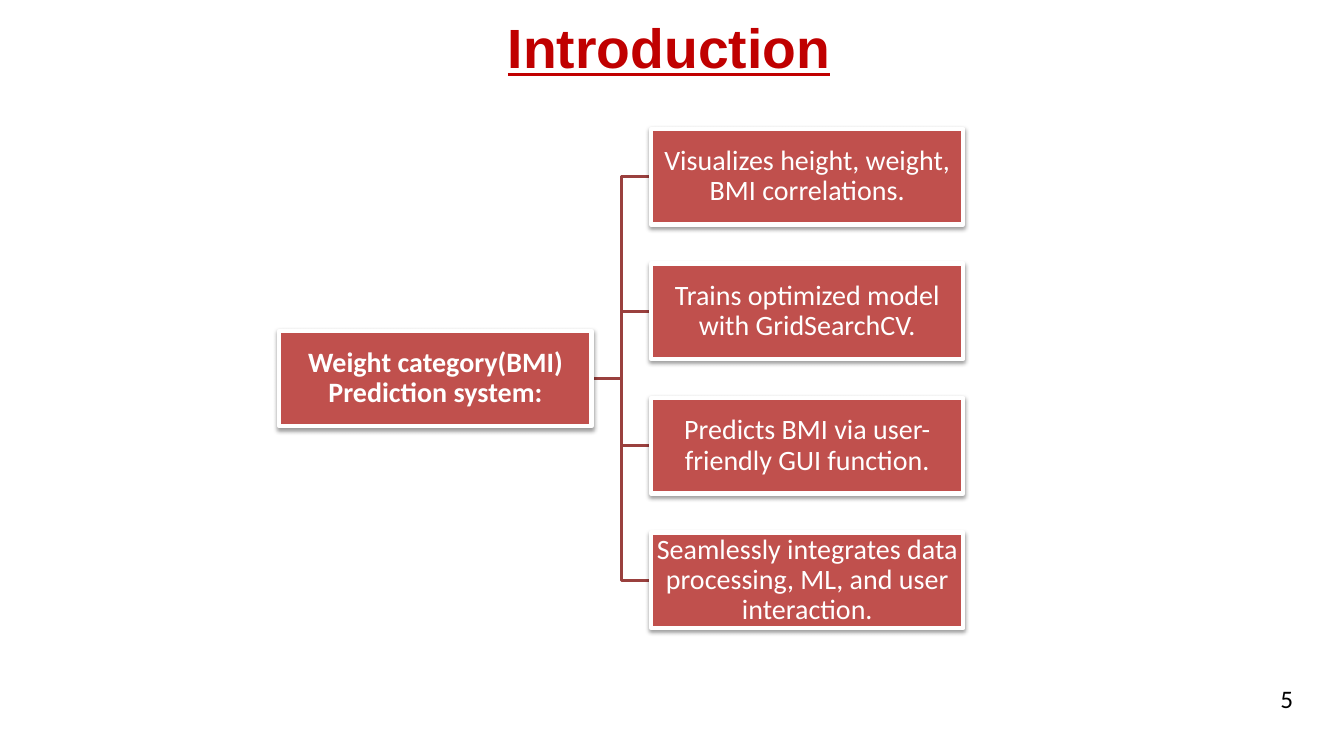
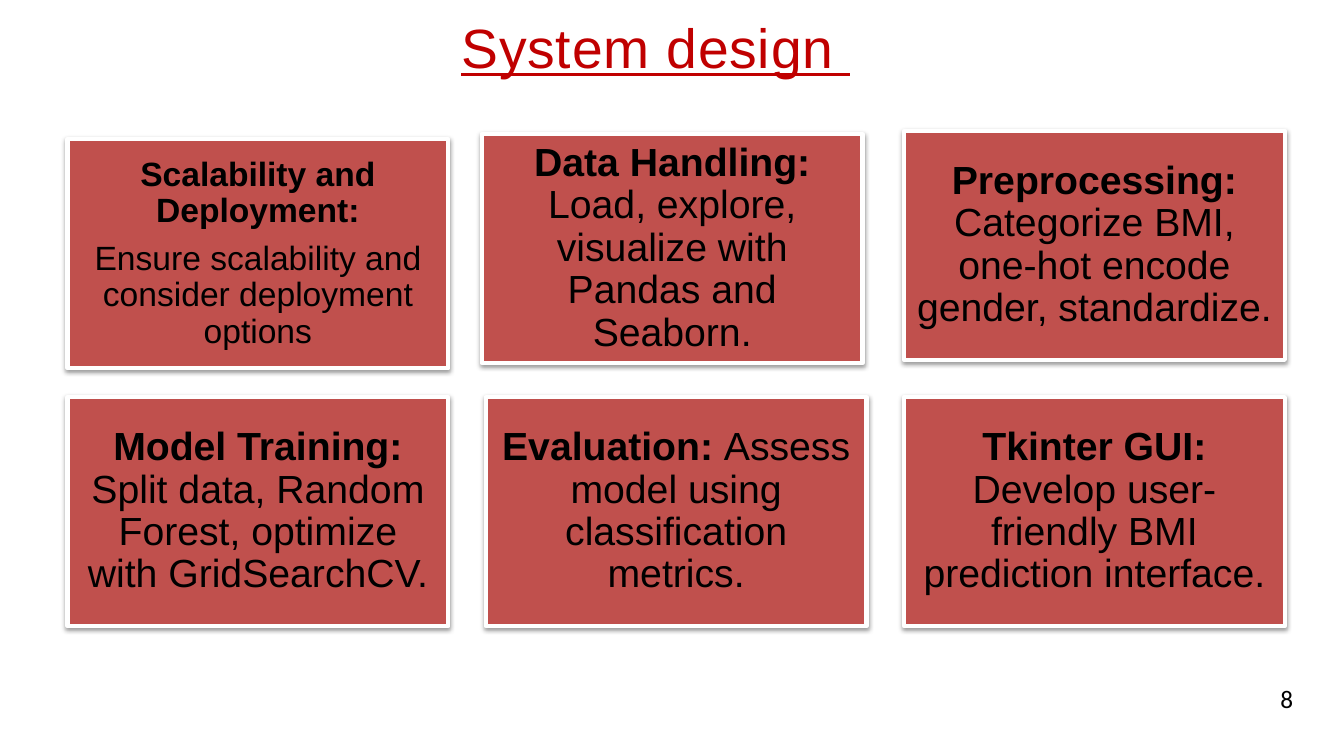
from lxml import etree
from pptx import Presentation
from pptx.dml.color import RGBColor
from pptx.enum import shapes, text
from pptx.oxml import parse_xml
from pptx.oxml.ns import qn
from pptx.util import Cm, Pt

COLORS = {"title": "C00000", "box": "C0504D", "line": "9A403E",
          "white": "FFFFFF", "black": "000000"}
SHADOW = """<a:outerShdw xmlns:a="http://schemas.openxmlformats.org/drawingml/2006/main"
  blurRad="40000" dist="20000" dir="5400000" rotWithShape="0">
  <a:srgbClr val="000000"><a:alpha val="38000"/></a:srgbClr></a:outerShdw>"""


def write(tf, paragraphs, size, font="Arial", color="black", underline=False,
          align=text.PP_ALIGN.LEFT, anchor=text.MSO_ANCHOR.TOP, inset=0.0,
          spacing=1.0, before=0, after=0, tracking=0):
    """Fill a text frame; each paragraph is a list of (text, bold) runs."""
    tf.word_wrap = True
    tf.auto_size = text.MSO_AUTO_SIZE.NONE
    tf.vertical_anchor = anchor
    tf.margin_left = tf.margin_right = tf.margin_top = tf.margin_bottom = Cm(inset)
    for i, runs in enumerate(paragraphs):
        p = tf.add_paragraph() if i else tf.paragraphs[0]
        p.alignment = align
        p.line_spacing = spacing
        p.space_before, p.space_after = Pt(before), Pt(after)
        for content, bold in runs:
            r = p.add_run()
            r.text = content
            r.font.name, r.font.size = font, Pt(size)
            r.font.bold, r.font.underline = bold, underline
            r.font.color.rgb = RGBColor.from_string(COLORS[color])
            if tracking:
                r.font._element.set("spc", str(tracking))


def add_box(s, left, top, width, height, paragraphs, size, **fmt):
    """Add a red card with a white border, a soft shadow and centred text."""
    sp = s.shapes.add_shape(shapes.MSO_SHAPE.RECTANGLE,
                            Cm(left), Cm(top), Cm(width), Cm(height))
    sp.fill.solid()
    sp.fill.fore_color.rgb = RGBColor.from_string(COLORS["box"])
    sp.line.color.rgb = RGBColor.from_string(COLORS["white"])
    sp.line.width = Pt(3)
    sp.shadow.inherit = False
    sp._element.spPr.find(qn("a:effectLst")).append(parse_xml(SHADOW))
    write(sp.text_frame, paragraphs, size, align=text.PP_ALIGN.CENTER,
          anchor=text.MSO_ANCHOR.MIDDLE, spacing=0.9, after=0.35 * size, **fmt)
    return sp


prs = Presentation()
prs.slide_width, prs.slide_height = Cm(33.87), Cm(19.05)

# Titles and page numbers: title, bold, left, width, space before, tracking, page
slides = []
for title, bold, left, width, before, tracking, page in [
    ("Introduction", True, 12.8, 8.26, 0, 0, "5"),
    ("System design ", False, 11.63, 14.63, 1.3, 60, "8"),
]:
    s = prs.slides.add_slide(prs.slide_layouts[5])
    sp = s.shapes.title
    sp.left, sp.top, sp.width, sp.height = Cm(left), Cm(0.33), Cm(width), Cm(1.75)
    write(sp.text_frame, [[(title, bold)]], 39.5, color="title", underline=True,
          before=before, tracking=tracking)
    sp = s.shapes.add_textbox(Cm(32), Cm(17.08), Cm(0.86), Cm(1.02))
    write(sp.text_frame, [[(page, False)]], 18, font="Calibri", inset=0.13,
          align=text.PP_ALIGN.CENTER)
    slides.append(s)
intro, design = slides

# Introduction: one root card branching to evenly spaced cards
features = [
    "Visualizes height, weight, BMI correlations.",
    "Trains optimized model with GridSearchCV.",
    "Predicts BMI via user-friendly GUI function.",
    "Seamlessly integrates data processing, ML, and user interaction.",
]
card_w, card_h, first_top, step = 7.87, 2.41, 3.25, 3.39
root_top = first_top + step * (len(features) - 1) / 2

# Connectors come first so that they lie behind the cards
branches = []
for _ in features:
    c = intro.shapes.add_connector(shapes.MSO_CONNECTOR.ELBOW, 0, 0, 0, 0)
    c.line.color.rgb = RGBColor.from_string(COLORS["line"])
    c.line.width = Pt(2)
    etree.SubElement(c._element.spPr, qn("a:effectLst"))
    branches.append(c)

card_format = {"font": "Calibri", "color": "white", "inset": 0.03}
root = add_box(intro, 7.04, root_top, card_w, card_h,
               [[("Weight category(BMI) Prediction system:", True)]], 20, **card_format)
for i, (feature, c) in enumerate(zip(features, branches)):
    card = add_box(intro, 16.41, first_top + i * step, card_w, card_h,
                   [[(feature, False)]], 20, **card_format)
    c.begin_connect(root, 3)
    c.end_connect(card, 1)

# System design: six cards with left, top, text size, inset and paragraphs
for left, top, size, inset, paragraphs in [
    (1.7, 3.51, 24, 0.25, [[("Scalability and Deployment:", True)],
                           [("Ensure scalability and consider deployment options", False)]]),
    (12.14, 3.38, 28, 0.3, [[("Data Handling: ", True),
                             ("Load, explore, visualize with Pandas and Seaborn.", False)]]),
    (22.78, 3.3, 28, 0.3, [[("Preprocessing: ", True),
                            ("Categorize BMI, one-hot encode gender, standardize.", False)]]),
    (1.7, 10.01, 28, 0.3, [[("Model Training: ", True),
                            ("Split data, Random Forest, optimize with GridSearchCV.", False)]]),
    (12.24, 10.01, 28, 0.3, [[("Evaluation: ", True),
                              ("Assess model using classification metrics.", False)]]),
    (22.78, 10.01, 28, 0.3, [[("Tkinter GUI: ", True),
                              ("Develop user-friendly BMI prediction interface.", False)]]),
]:
    add_box(design, left, top, 9.6, 5.77, paragraphs, size, inset=inset)

prs.save("out.pptx")
